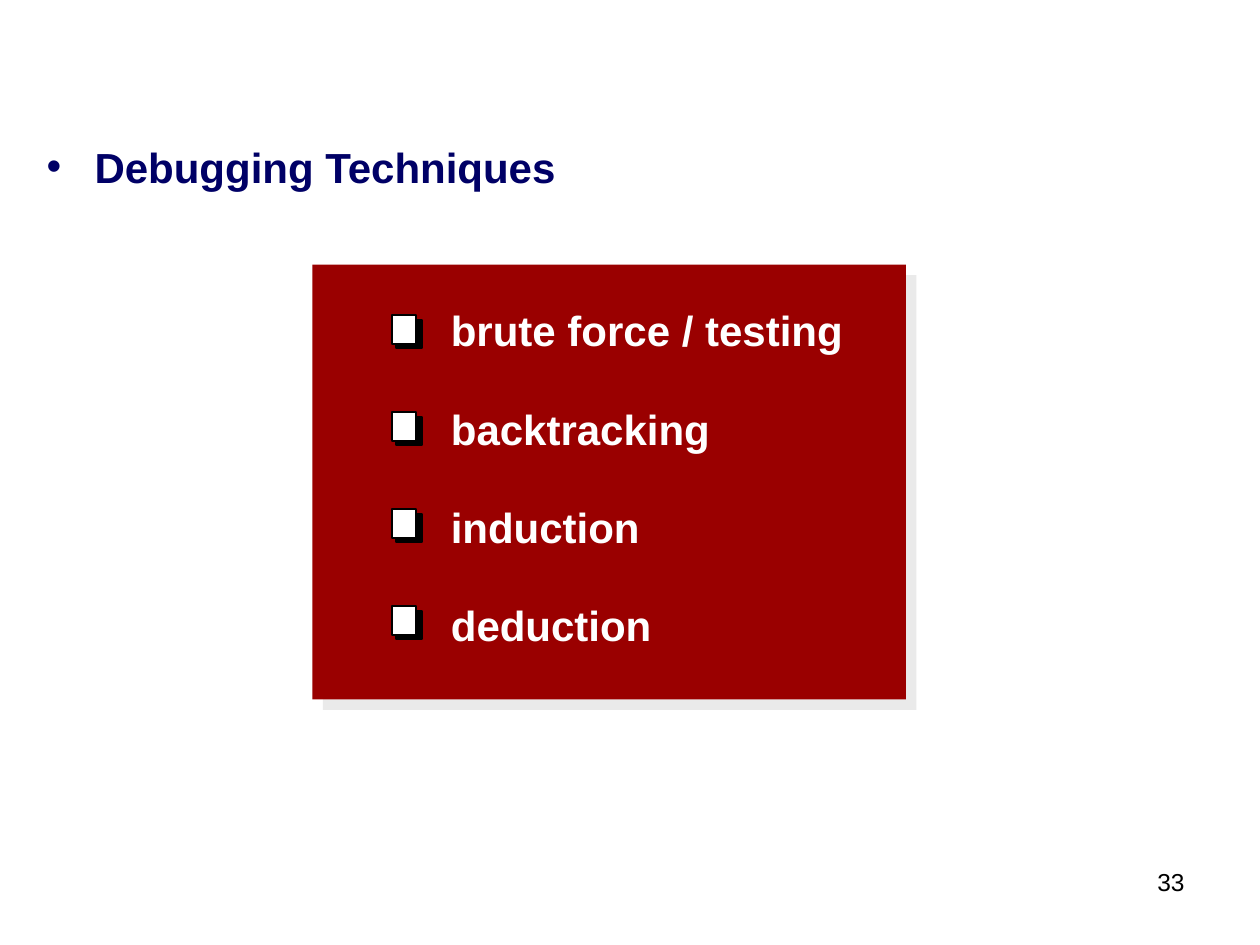
from dataclasses import dataclass

from lxml import etree
from pptx import Presentation, util as u
from pptx.dml import color
from pptx.enum import shapes, text
from pptx.oxml import ns

COLORS = {"navy": "000066", "red": "9A0000", "shadow": "EAEAEA",
          "white": "FFFFFF", "black": "000000"}
HEADING = {"name": "Arial", "size": u.Pt(24), "bold": True}
PAGE_NUMBER = {"name": "Arial", "size": u.Pt(14), "bold": False}
FIRST_LABEL_TOP, FIRST_CHECK_TOP = 2.37, 2.5
LABEL_STEP, CHECK_STEP = 0.78, 0.77


@dataclass
class Technique:
    name: str
    width: float


TECHNIQUES = [
    Technique("brute force / testing", 3.34),
    Technique("backtracking", 2.28),
    Technique("induction", 1.73),
    Technique("deduction", 1.82),
]


def rgb(name: str) -> color.RGBColor:
    return color.RGBColor.from_string(COLORS[name])


def place(shape, left: float, top: float, width: float, height: float) -> None:
    frame = {"left": left, "top": top, "width": width, "height": height}
    for key, value in frame.items():
        setattr(shape, key, u.Inches(value))


def write(para, words: str, style: dict, ink: str) -> None:
    span = para.add_run()
    span.text = words
    for key, value in style.items():
        setattr(span.font, key, value)
    span.font.color.rgb = rgb(ink)


def add_label(page, words: str, at: tuple, style: dict, ink: str,
              wrap: bool = False, align=text.PP_ALIGN.LEFT) -> None:
    box = page.shapes.add_textbox(*map(u.Inches, at))
    box.text_frame.word_wrap = wrap
    para = box.text_frame.paragraphs[0]
    para.alignment = align
    write(para, words, style, ink)


def add_rectangle(parent, at: tuple, fill: str, line: str | None = None):
    shape = parent.shapes.add_shape(shapes.MSO_SHAPE.RECTANGLE, *map(u.Inches, at))
    shape.shadow.inherit = False
    shape.fill.solid()
    shape.fill.fore_color.rgb = rgb(fill)
    if line:
        shape.line.color.rgb = rgb(line)
        shape.line.width = u.Pt(1)
    else:
        shape.line.fill.background()
    return shape


def add_shadow(shape) -> None:
    effects = shape._element.spPr.find(ns.qn("a:effectLst"))
    shadow = etree.SubElement(effects, ns.qn("a:outerShdw"), blurRad="0",
                              dist=str(u.Pt(8.5)), dir=str(45 * 60000),
                              algn="ctr", rotWithShape="0")
    etree.SubElement(shadow, ns.qn("a:srgbClr"), val=COLORS["shadow"])


def add_checkbox(page, top: float) -> None:
    group = page.shapes.add_group_shape()
    add_rectangle(group, (3.14, top + 0.04, 0.21, 0.22), "black", "black")
    add_rectangle(group, (3.11, top, 0.19, 0.23), "white", "black")


def fill_body(body) -> None:
    place(body, 0.27, 1.07, 9, 0.95)
    para = body.text_frame.paragraphs[0]
    properties = para._p.get_or_add_pPr()
    properties.set("marL", str(u.Inches(0.38)))
    properties.set("indent", str(u.Inches(-0.38)))
    tint = etree.SubElement(properties, ns.qn("a:buClr"))
    etree.SubElement(tint, ns.qn("a:srgbClr"), val=COLORS["navy"])
    etree.SubElement(properties, ns.qn("a:buChar"), char="•")
    para.space_before = u.Pt(0)
    write(para, "Debugging Techniques", HEADING, "navy")


def main() -> None:
    deck = Presentation()
    deck.slide_width, deck.slide_height = u.Inches(10), u.Inches(7.5)
    page = deck.slides.add_slide(deck.slide_layouts[1])
    title = page.shapes.title._element
    title.getparent().remove(title)

    fill_body(page.placeholders[1])
    add_label(page, "33", (7.44, 6.83, 2.06, 0.52), PAGE_NUMBER, "black",
              wrap=True, align=text.PP_ALIGN.RIGHT)
    add_shadow(add_rectangle(page, (2.48, 2.1, 4.71, 3.45), "red"))
    for row, technique in enumerate(TECHNIQUES):
        at = (3.48, FIRST_LABEL_TOP + row * LABEL_STEP, technique.width, 0.5)
        add_label(page, technique.name, at, HEADING, "white")
        add_checkbox(page, FIRST_CHECK_TOP + row * CHECK_STEP)
    deck.save("out.pptx")


if __name__ == "__main__":
    main()
